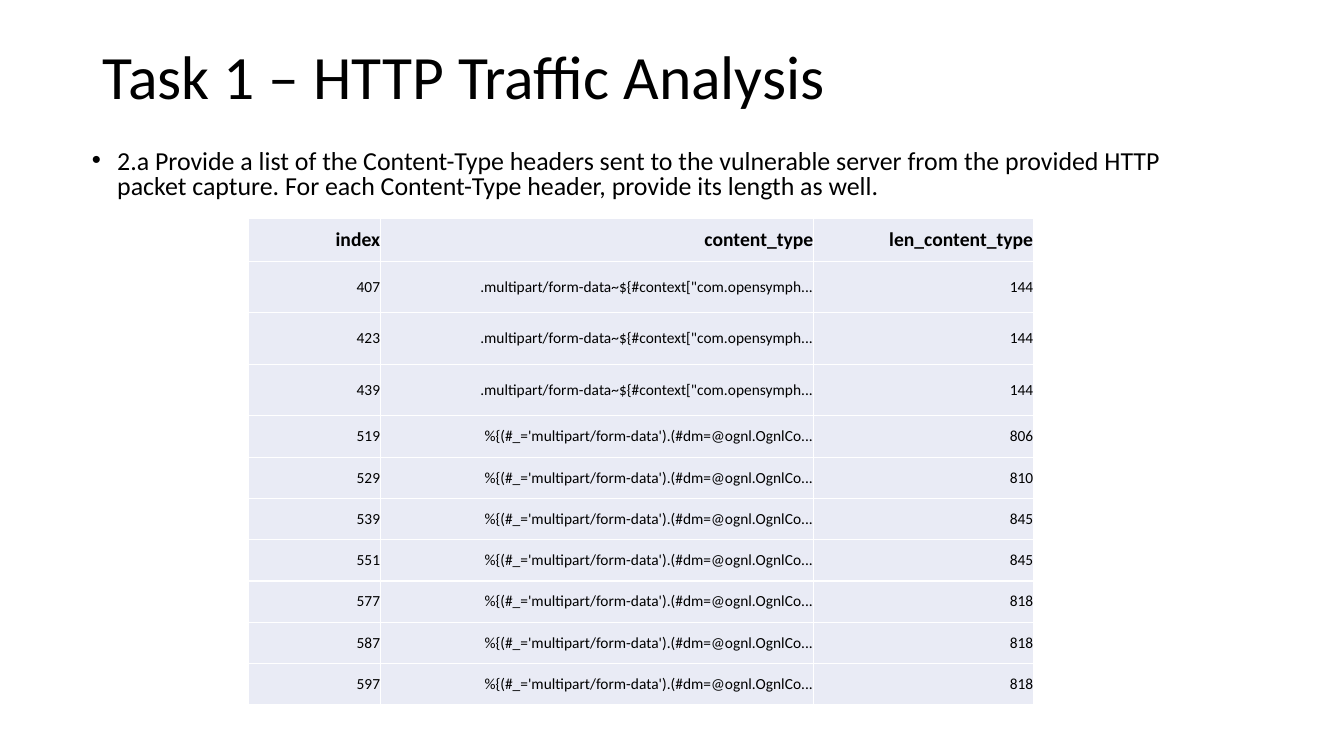
from lxml import etree
from pptx import Presentation
from pptx.dml.color import RGBColor
from pptx.enum.text import MSO_ANCHOR, MSO_AUTO_SIZE, PP_ALIGN
from pptx.oxml.ns import qn
from pptx.util import Cm, Pt

LEFT, RIGHT = PP_ALIGN.LEFT, PP_ALIGN.RIGHT
TOP, MIDDLE = MSO_ANCHOR.TOP, MSO_ANCHOR.MIDDLE
NO_FIT = MSO_AUTO_SIZE.NONE

MULTIPART = '.multipart/form-data~${#context["com.opensymph...'
OGNL = "%{(#_='multipart/form-data').(#dm=@ognl.OgnlCo..."
HEADER = ("index", "content_type", "len_content_type")
REQUESTS = [
    (407, MULTIPART, 144),
    (423, MULTIPART, 144),
    (439, MULTIPART, 144),
    (519, OGNL, 806),
    (529, OGNL, 810),
    (539, OGNL, 845),
    (551, OGNL, 845),
    (577, OGNL, 818),
    (587, OGNL, 818),
    (597, OGNL, 818),
]
COL_WIDTHS = (3.33, 10.92, 5.54)
ROW_HEIGHTS = [1.07] + [1.3 if kind == MULTIPART else 1.04 for _, kind, _ in REQUESTS]


def color(value):
    return RGBColor.from_string(value)


def write(tf, text, size, bold=False, align=LEFT, spacing=1.0, before=0):
    p = tf.paragraphs[0]
    p.alignment, p.line_spacing, p.space_before = align, spacing, Pt(before)
    r = p.add_run()
    r.text = text
    r.font.name, r.font.size, r.font.bold = "Calibri", Pt(size), bold
    r.font.color.rgb = color("000000")
    return p


class Deck:
    cell_fill = "E9EBF5"
    border = "FFFFFF"

    def __init__(self):
        self.prs = Presentation()
        self.prs.slide_width, self.prs.slide_height = Cm(33.87), Cm(19.05)
        self.s = self.prs.slides.add_slide(self.prs.slide_layouts[1])

    def place(self, sp, x, y, w, h, anchor):
        sp.left, sp.top, sp.width, sp.height = Cm(x), Cm(y), Cm(w), Cm(h)
        tf = sp.text_frame
        tf.word_wrap, tf.auto_size, tf.vertical_anchor = True, NO_FIT, anchor
        return tf

    def title(self, text, x, y, w, h):
        tf = self.place(self.s.shapes.title, x, y, w, h, MIDDLE)
        write(tf, text, 44, spacing=0.9)

    def bullet(self, text, x, y, w, h):
        tf = self.place(self.s.placeholders[1], x, y, w, h, TOP)
        p = write(tf, text, 18.5, spacing=0.8, before=10)
        pPr = p._p.get_or_add_pPr()
        pPr.set("marL", str(Cm(0.64)))
        pPr.set("indent", str(Cm(-0.64)))
        etree.SubElement(pPr, qn("a:buFont"), typeface="Arial")
        etree.SubElement(pPr, qn("a:buChar"), char="•")

    def cell(self, cell, text, size, bold):
        cell.margin_left = cell.margin_right = cell.margin_top = cell.margin_bottom = 0
        cell.vertical_anchor = MIDDLE
        write(cell.text_frame, text, size, bold, RIGHT)
        tcPr = cell._tc.get_or_add_tcPr()
        for side in "LRTB":
            ln = etree.SubElement(tcPr, qn(f"a:ln{side}"), w=str(Pt(1)))
            fill = etree.SubElement(ln, qn("a:solidFill"))
            etree.SubElement(fill, qn("a:srgbClr"), val=self.border)
        cell.fill.solid()
        cell.fill.fore_color.rgb = color(self.cell_fill)

    def table(self, rows, x, y, widths, heights):
        frame = self.s.shapes.add_table(
            len(rows), len(widths), Cm(x), Cm(y), Cm(sum(widths)), Cm(sum(heights)))
        tbl = frame.table
        tbl.horz_banding = False
        for col, width in zip(tbl.columns, widths):
            col.width = Cm(width)
        for i, (values, height) in enumerate(zip(rows, heights)):
            tbl.rows[i].height = Cm(height)
            for j, value in enumerate(values):
                self.cell(tbl.cell(i, j), str(value), 11 if i else 14, i == 0)


def main():
    deck = Deck()
    deck.title("Task 1 – HTTP Traffic Analysis", 2.34, 1.02, 29.21, 1.98)
    deck.bullet(
        "2.a Provide a list of the Content-Type headers sent to the vulnerable server "
        "from the provided HTTP packet capture. For each Content-Type header, "
        "provide its length as well.", 2.06, 3.66, 29.21, 1.57)
    deck.table([HEADER] + REQUESTS, 6.25, 5.51, COL_WIDTHS, ROW_HEIGHTS)
    deck.prs.save("out.pptx")


if __name__ == "__main__":
    main()
